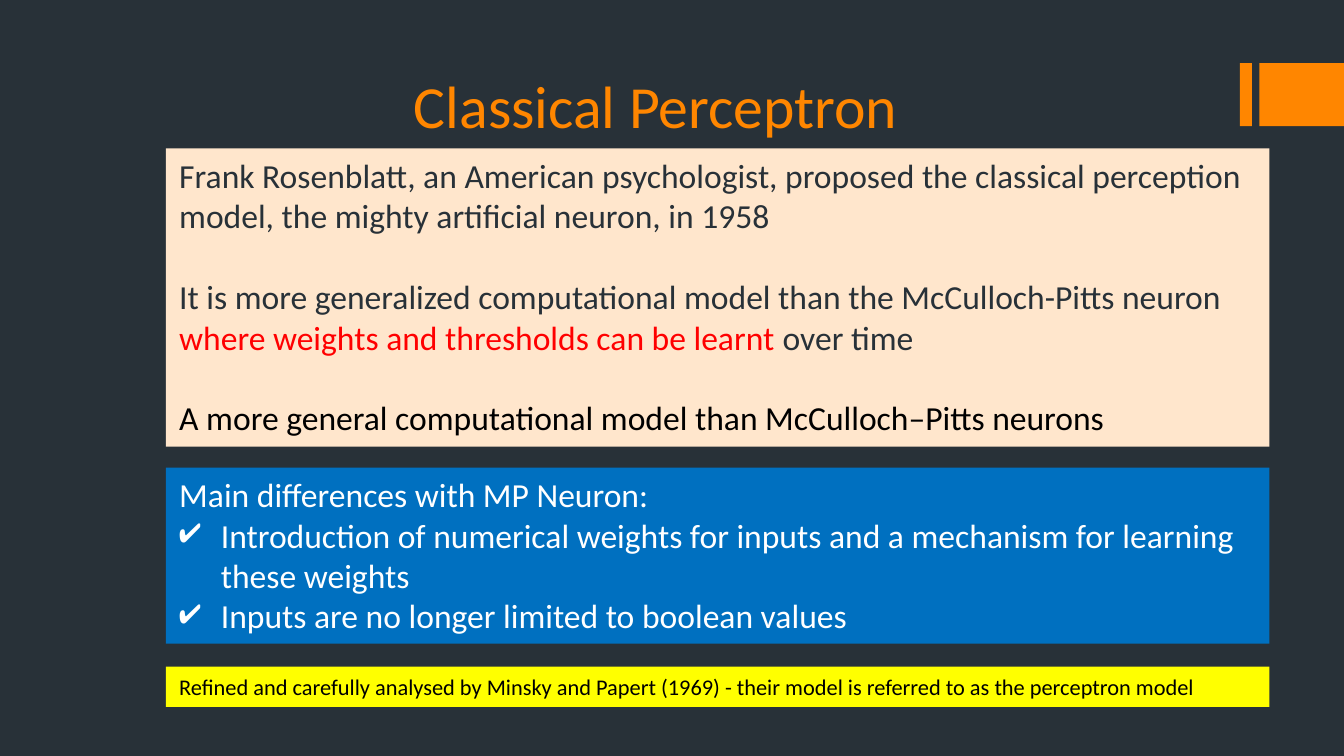
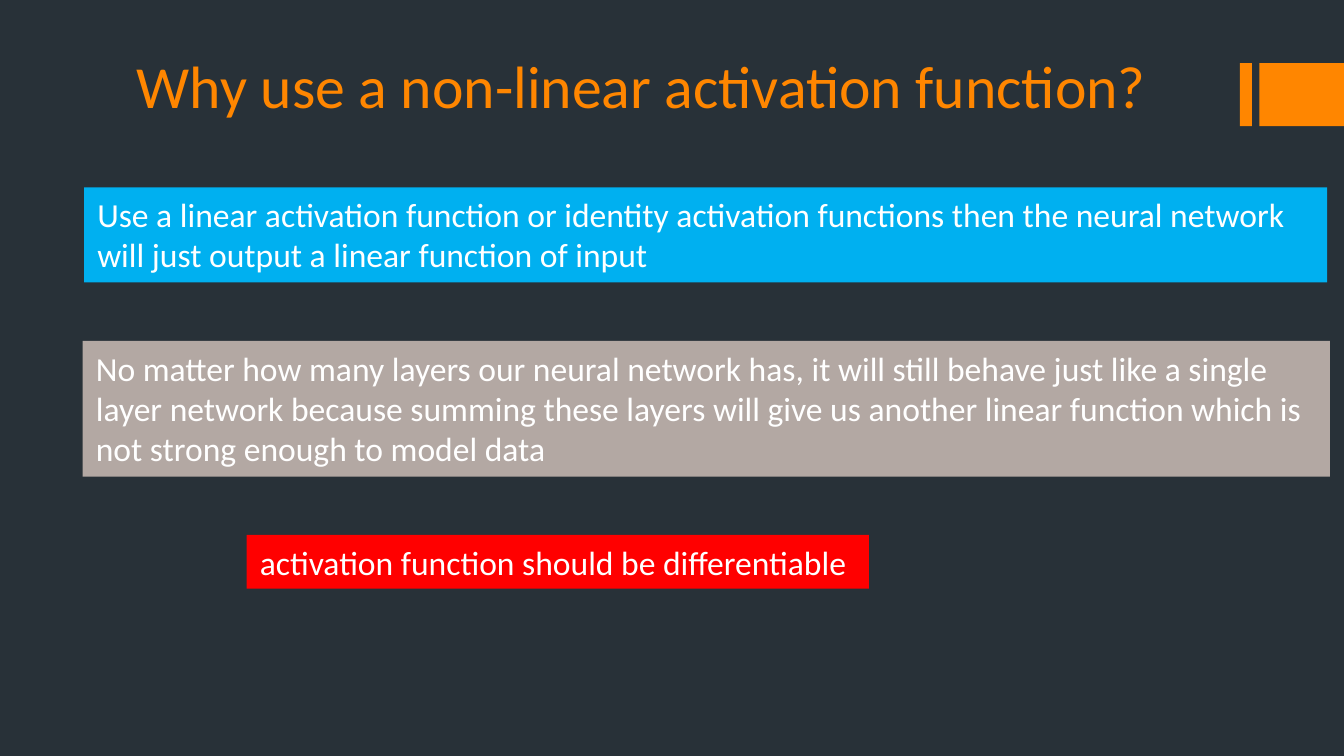
from lxml.etree import SubElement as Sub
from pptx import Presentation
from pptx.dml.color import RGBColor as RGB
from pptx.enum.shapes import MSO_SHAPE as Kind
from pptx.enum.text import MSO_ANCHOR as Anchor, PP_ALIGN as Align
from pptx.oxml.ns import qn
from pptx.util import Inches, Pt

DARK = RGB(0x28, 0x31, 0x38)
ORANGE = RGB(0xFF, 0x86, 0x00)
PEACH = RGB(0xFF, 0xE6, 0xCC)
BLUE = RGB(0x00, 0x70, 0xC0)
SKY = RGB(0x00, 0xB0, 0xF0)
TAUPE = RGB(0xB3, 0xA8, 0xA3)
YELLOW = RGB(0xFF, 0xFF, 0x00)
RED = RGB(0xFF, 0x00, 0x00)
WHITE = RGB(0xFF, 0xFF, 0xFF)
BLACK = RGB(0x00, 0x00, 0x00)

deck = Presentation()
deck.slide_width = Inches(10)
deck.slide_height = deck.slide_width * 9 // 16
COL = deck.slide_width / 100
ROW = deck.slide_height / 56.25


def grid(x, y, w, h):
    return [round(n) for n in (x * COL, y * ROW, w * COL, h * ROW)]


def write(page, cell, lines, ink, size=18, fill=None, gap=0, tick=False):
    box = page.shapes.add_textbox(*grid(*cell))
    if fill is not None:
        box.fill.solid()
        box.fill.fore_color.rgb = fill
    frame = box.text_frame
    frame.word_wrap = True
    for i, line in enumerate(lines):
        para = frame.paragraphs[0] if i == 0 else frame.add_paragraph()
        if i and gap:
            para.space_before = Pt(gap)
        if i and tick:
            props = para._p.get_or_add_pPr()
            props.set("marL", str(Inches(0.31)))
            props.set("indent", str(-Inches(0.31)))
            tint = Sub(props, qn("a:buClr"))
            Sub(tint, qn("a:srgbClr")).set("val", str(ink))
            Sub(props, qn("a:buChar")).set("char", "✔")
        para.font.name = "Calibri"
        para.font.size = Pt(size)
        para.font.color.rgb = ink
        for part in [line] if isinstance(line, str) else line:
            text, hue = (part, None) if isinstance(part, str) else part
            run = para.add_run()
            run.text = text
            if hue is not None:
                run.font.color.rgb = hue
    return frame


heads = [
    ("Classical Perceptron", (6.7, 1.45, 84.2, 9.5), Align.CENTER),
    ("Why use a non-linear activation function?", (9.2, 0, 80, 9.45), Align.LEFT),
]
pages = []
for text, cell, align in heads:
    page = deck.slides.add_slide(deck.slide_layouts[6])
    page.background.fill.solid()
    page.background.fill.fore_color.rgb = DARK
    for left, width in ((92.25, 0.9), (93.7, 6.3)):
        band = page.shapes.add_shape(Kind.RECTANGLE, *grid(left, 4.7, width, 4.7))
        band.shadow.inherit = False
        band.fill.solid()
        band.fill.fore_color.rgb = ORANGE
        band.line.fill.background()
    title = write(page, cell, [text], ORANGE, size=32)
    title.vertical_anchor = Anchor.BOTTOM
    title.paragraphs[0].alignment = align
    pages.append(page)

model, linear = pages
LEFT, WIDE = 12.35, 82.1

write(model, (LEFT, 11.03, WIDE, 22.2), [
    "Frank Rosenblatt, an American psychologist, proposed the classical "
    "perception model, the mighty artificial neuron, in 1958",
    ["It is more generalized computational model than the McCulloch-Pitts neuron ",
     ("where weights and thresholds can be learnt", RED),
     " over time"],
    [("A more general computational model than McCulloch–Pitts neurons", BLACK)],
], DARK, fill=PEACH, gap=21.75)

write(model, (LEFT, 34.8, WIDE, 13.1), [
    "Main differences with MP Neuron:",
    "Introduction of numerical weights for inputs and a mechanism for learning "
    "these weights",
    "Inputs are no longer limited to boolean values",
], WHITE, fill=BLUE, tick=True)

write(model, (LEFT, 49.6, WIDE, 3), [
    "Refined and carefully analysed by Minsky and Papert (1969) - their model "
    "is referred to as the perceptron model",
], BLACK, size=12, fill=YELLOW)

notes = [
    ((6.25, 13.95, 92.5, 7.07), SKY,
     "Use a linear activation function or identity activation functions then "
     "the neural network will just output a linear function of input"),
    ((6.15, 25.37, 92.8, 10.1), TAUPE,
     "No matter how many layers our neural network has, it will still behave "
     "just like a single layer network because summing these layers will give "
     "us another linear function which is not strong enough to model data"),
    ((18.35, 39.8, 46.3, 4), RED, "activation function should be differentiable"),
]
for cell, fill, text in notes:
    write(linear, cell, [text], WHITE, fill=fill)

deck.save("out.pptx")
